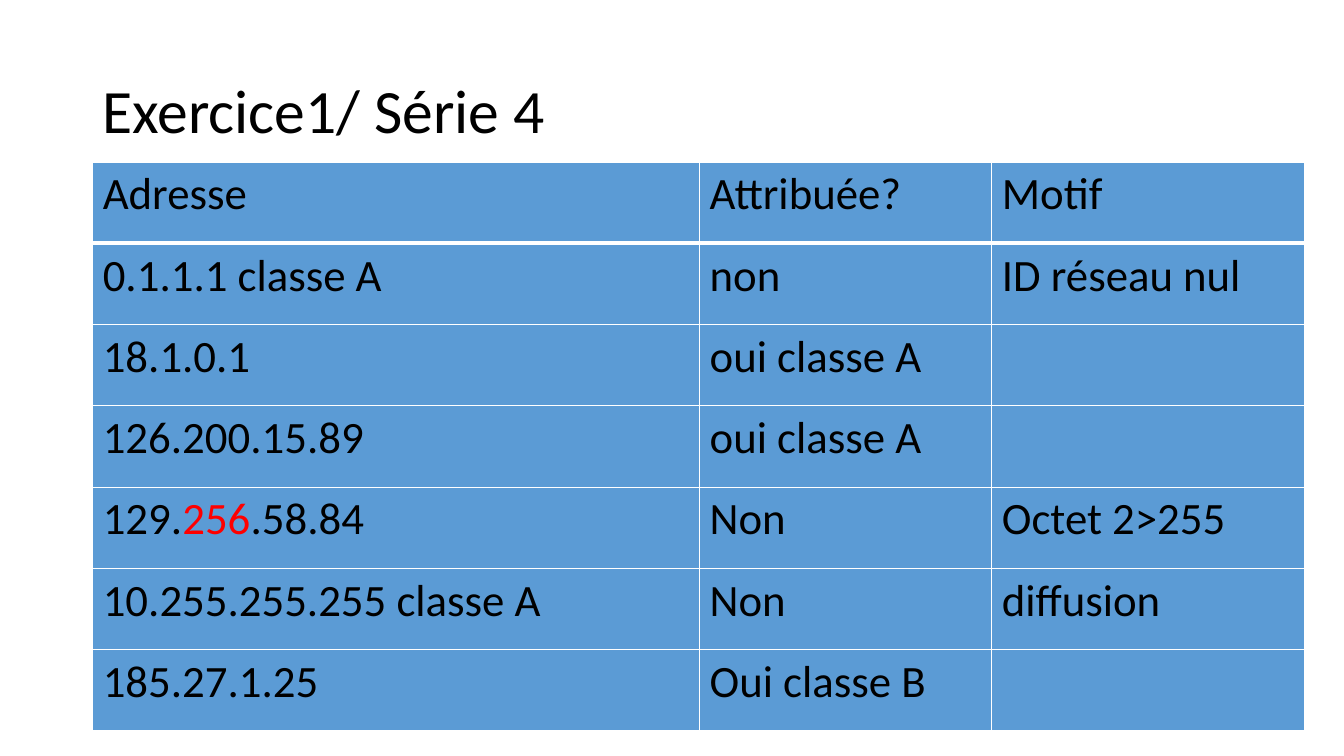
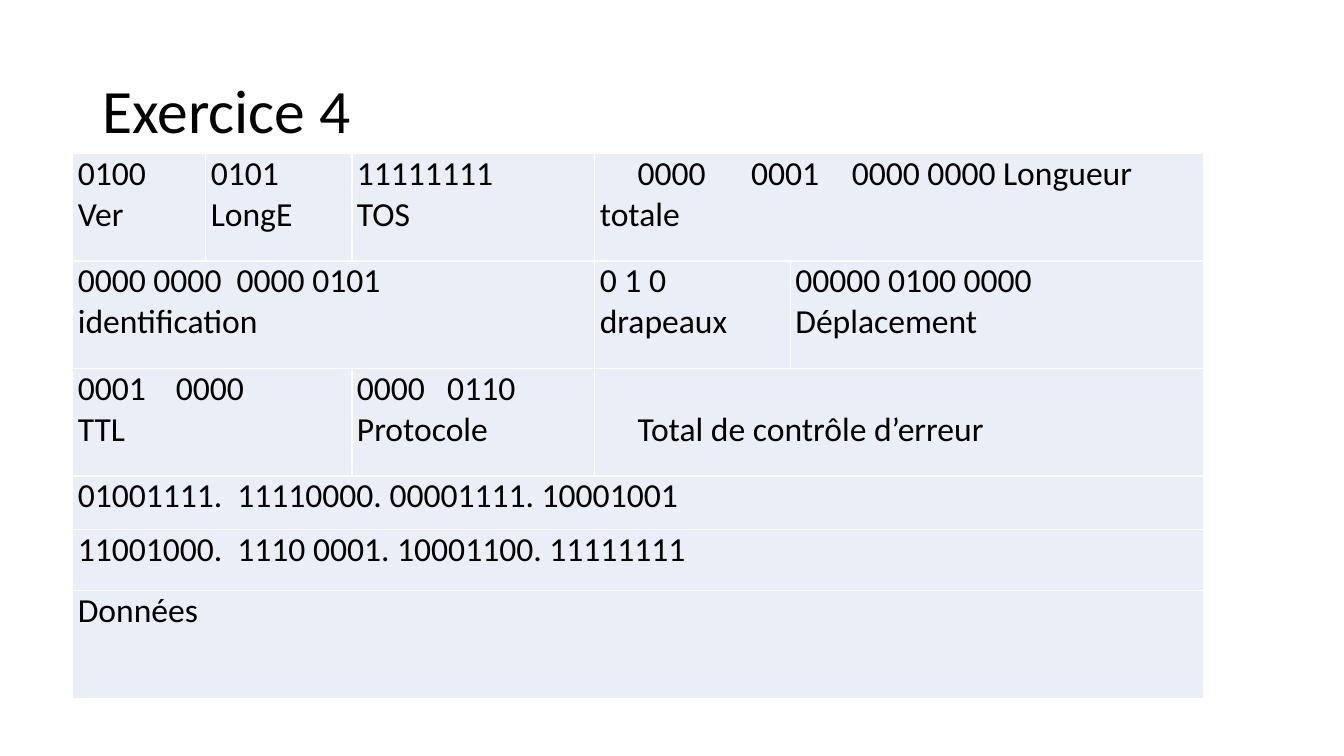
from dataclasses import dataclass

from lxml.etree import SubElement
from pptx import Presentation
from pptx.dml.color import RGBColor as RGB
from pptx.enum.text import MSO_ANCHOR as Anchor, MSO_AUTO_SIZE as AutoSize, PP_ALIGN as Align
from pptx.oxml.ns import qn
from pptx.util import Pt


@dataclass(frozen=True)
class Theme:
    font: str = "Calibri"
    text: str = "000000"
    alert: str = "FF0000"
    border: str = "FFFFFF"
    strong: str = "5B9BD5"
    pale: str = "EAEFF7"
    title_size: float = 44
    table_size: float = 32
    header_size: float = 24
    rule: float = 1
    heavy_rule: float = 3


@dataclass(frozen=True)
class Cell:
    lines: tuple = ()
    span: int = 1
    indent: float = 0
    tabs: tuple = ()
    drop: float = 0


class Deck:
    def __init__(self, theme):
        self.theme = theme
        self.prs = Presentation()
        self.prs.slide_width, self.prs.slide_height = Pt(960), Pt(540)
        self.slide = None

    def add_slide(self, title):
        self.slide = self.prs.slides.add_slide(self.prs.slide_layouts[5])
        sp = self.slide.shapes.title
        sp.left, sp.top, sp.width, sp.height = Pt(66), Pt(28.75), Pt(828), Pt(104.4)
        tf = sp.text_frame
        tf.auto_size = AutoSize.NONE
        tf.word_wrap = True
        tf.vertical_anchor = Anchor.MIDDLE
        p = tf.paragraphs[0]
        p.alignment = Align.LEFT
        p.line_spacing = 0.9
        self.run(p, title, self.theme.title_size)

    def run(self, p, text, size, color=None):
        r = p.add_run()
        r.text = text
        r.font.name = self.theme.font
        r.font.size = Pt(size)
        r.font.color.rgb = RGB.from_string(color or self.theme.text)

    def borders(self, tc, top, bottom):
        tcPr = tc._tc.get_or_add_tcPr()
        rule = self.theme.rule
        for side, width in (("L", rule), ("R", rule), ("T", top), ("B", bottom)):
            ln = SubElement(tcPr, qn(f"a:ln{side}"), w=str(Pt(width)))
            fill = SubElement(ln, qn("a:solidFill"))
            SubElement(fill, qn("a:srgbClr"), val=self.theme.border)

    def indents(self, p, indent, tabs):
        pPr = p._p.get_or_add_pPr()
        if indent:
            pPr.set("indent", str(Pt(indent)))
        if tabs:
            tab_list = SubElement(pPr, qn("a:tabLst"))
            for pos in tabs:
                SubElement(tab_list, qn("a:tab"), pos=str(Pt(pos)), algn="l")

    def cell_text(self, tc, cell, size):
        tf = tc.text_frame
        for i, line in enumerate(cell.lines):
            p = tf.add_paragraph() if i else tf.paragraphs[0]
            self.indents(p, cell.indent, cell.tabs)
            for part in (line,) if isinstance(line, str) else line:
                text, color = (part, None) if isinstance(part, str) else part
                self.run(p, text, size, color)

    def table(self, left, top, cols, heights, rows, fill, size, margins, header=False):
        frame = self.slide.shapes.add_table(
            len(rows), len(cols), Pt(left), Pt(top), Pt(sum(cols)), Pt(sum(heights)))
        tbl = frame.table
        tbl.first_row = header
        tbl.horz_banding = False
        for col, width in zip(tbl.columns, cols):
            col.width = Pt(width)
        rule, heavy = self.theme.rule, self.theme.heavy_rule
        side, edge = margins
        for i, (row, height) in enumerate(zip(rows, heights)):
            tbl.rows[i].height = Pt(height)
            for tc in tbl.rows[i].cells:
                self.borders(tc, heavy if header and i == 1 else rule,
                             heavy if header and i == 0 else rule)
                tc.fill.solid()
                tc.fill.fore_color.rgb = RGB.from_string(fill)
                tc.margin_left = tc.margin_right = Pt(side)
                tc.margin_top = tc.margin_bottom = Pt(edge)
            j = 0
            for cell in row:
                tc = tbl.cell(i, j)
                if cell.span > 1:
                    tc.merge(tbl.cell(i, j + cell.span - 1))
                if cell.drop:
                    tc.margin_top = Pt(edge + cell.drop)
                self.cell_text(tc, cell, size)
                j += cell.span


def address_slide(deck):
    th = deck.theme
    answers = (
        ("Adresse", "Attribuée?", "Motif"),
        ("0.1.1.1 classe A", "non", "ID réseau nul"),
        ("18.1.0.1", "oui classe A", ""),
        ("126.200.15.89", "oui classe A", ""),
        (("129.", ("256", th.alert), ".58.84"), "Non", "Octet 2>255"),
        ("10.255.255.255 classe A", "Non", "diffusion"),
        ("185.27.1.25", "Oui classe B", ""),
    )
    rows = [[Cell((text,) if text else ()) for text in row] for row in answers]
    deck.add_slide("Exercice1/ Série 4")
    deck.table(66.25, 115.75, (433.5, 208.75, 223.75), (58.06,) * len(rows), rows,
               th.strong, th.table_size, (7.2, 3.6), header=True)


def datagram_slide(deck):
    th = deck.theme
    rows = (
        (Cell(("0100", "Ver")), Cell(("0101", "LongE")), Cell(("11111111", "TOS")),
         Cell(("0000\t0001\t0000 0000 Longueur totale",), 2, indent=27, tabs=(103, 211.5))),
        (Cell(("0000 0000\t0000 0101", "identification"), 3, tabs=(113.5,)),
         Cell(("0 1 0", "drapeaux")), Cell(("00000 0100 0000", "Déplacement"))),
        (Cell(("0001\t0000", "TTL"), 2, tabs=(70,)),
         Cell(("0000\t0110", "Protocole"), tabs=(64.5,)),
         Cell(("Total de contrôle d’erreur",), 2, indent=27, drop=29.3)),
        (Cell(("01001111.\t11110000. 00001111. 10001001",), 5, tabs=(114,)),),
        (Cell(("11001000.\t1110 0001. 10001100. 11111111",), 5, tabs=(114,)),),
        (Cell(("Données",), 5),),
    )
    deck.add_slide("Exercice 4")
    deck.table(52, 109.75, (95, 104.4, 173.5, 139.7, 295), (76.75, 76.75, 76.75, 38.25, 43.5, 77.5),
               rows, th.pale, th.header_size, (3.6, 0))


def main():
    deck = Deck(Theme())
    address_slide(deck)
    datagram_slide(deck)
    deck.prs.save("out.pptx")


if __name__ == "__main__":
    main()
